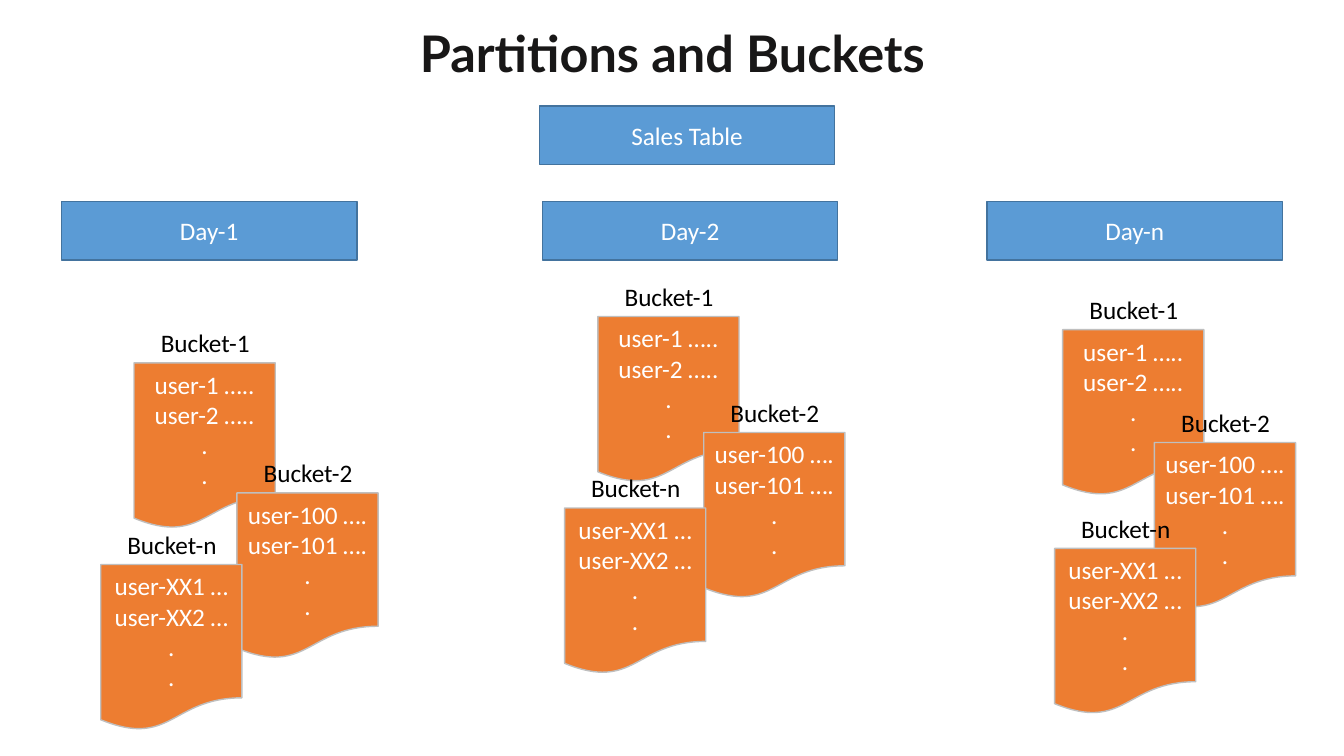
from dataclasses import dataclass

from pptx import Presentation
from pptx.dml.color import RGBColor
from pptx.enum.shapes import MSO_SHAPE
from pptx.enum.text import MSO_ANCHOR, MSO_AUTO_SIZE, PP_ALIGN
from pptx.shapes.autoshape import Shape
from pptx.slide import Slide
from pptx.text.text import TextFrame
from pptx.util import Inches, Pt

COLORS = {
    "title": "181717",
    "box": "5B9BD5",
    "box_line": "43739E",
    "bucket": "ED7D31",
    "bucket_line": "BFBFBF",
    "white": "FFFFFF",
    "black": "000000",
}
BOX_W, BOX_H = 2.93, 0.58
BUCKET_W, BUCKET_H = 1.4, 1.65
LABEL_W, LABEL_H = 1.51, 0.4
LABEL_DX = 0.05


@dataclass(frozen=True)
class Bucket:
    name: str
    users: tuple[str, str]


@dataclass(frozen=True)
class Partition:
    name: str
    left: float
    bucket_spots: tuple[tuple[float, float], ...]


BUCKETS = (
    Bucket("Bucket-1", ("user-1 …..", "user-2 …..")),
    Bucket("Bucket-2", ("user-100 ….", "user-101 ….")),
    Bucket("Bucket-n", ("user-XX1 …", "user-XX2 …")),
)
PARTITIONS = (
    Partition("Day-1", 0.61, ((1.33, 3.6), (2.35, 4.89), (1, 5.6))),
    Partition("Day-2", 5.38, ((5.93, 3.14), (6.98, 4.29), (5.6, 5.04))),
    Partition("Day-n", 9.79, ((10.54, 3.27), (11.45, 4.39), (10.46, 5.44))),
)


def rgb(name: str) -> RGBColor:
    return RGBColor.from_string(COLORS[name])


def write(tf: TextFrame, lines: tuple[str, ...], color: str,
          anchor: MSO_ANCHOR, font: str = "Calibri", size: int = 18) -> None:
    tf.word_wrap = True
    tf.vertical_anchor = anchor
    tf.text = "\n".join(lines)
    for p in tf.paragraphs:
        p.alignment = PP_ALIGN.CENTER
        p.font.name = font
        p.font.size = Pt(size)
        p.font.color.rgb = rgb(color)


def paint(sp: Shape, fill: str) -> None:
    sp.shadow.inherit = False
    sp.fill.solid()
    sp.fill.fore_color.rgb = rgb(fill)
    sp.line.color.rgb = rgb(f"{fill}_line")
    sp.line.width = Pt(1)


def add_title(slide: Slide, text: str) -> None:
    tf = slide.shapes.add_textbox(
        Inches(3.55), Inches(0.3), Inches(6.24), Inches(0.58)).text_frame
    write(tf, (text,), "title", MSO_ANCHOR.BOTTOM, "Lato", 36)
    p = tf.paragraphs[0]
    p.line_spacing = 0.9
    p.font.bold = True


def add_box(slide: Slide, text: str, left: float, top: float) -> None:
    sp = slide.shapes.add_shape(
        MSO_SHAPE.RECTANGLE, Inches(left), Inches(top), Inches(BOX_W), Inches(BOX_H))
    paint(sp, "box")
    write(sp.text_frame, (text,), "white", MSO_ANCHOR.MIDDLE)


def add_bucket(slide: Slide, bucket: Bucket, left: float, top: float) -> None:
    group = slide.shapes.add_group_shape()
    sp = group.shapes.add_shape(
        MSO_SHAPE.FLOWCHART_DOCUMENT,
        Inches(left), Inches(top), Inches(BUCKET_W), Inches(BUCKET_H))
    paint(sp, "bucket")
    write(sp.text_frame, (*bucket.users, ".", "."), "white", MSO_ANCHOR.MIDDLE)
    label = group.shapes.add_textbox(
        Inches(left - LABEL_DX), Inches(top - LABEL_H), Inches(LABEL_W), Inches(LABEL_H))
    write(label.text_frame, (bucket.name,), "black", MSO_ANCHOR.TOP)
    label.text_frame.auto_size = MSO_AUTO_SIZE.SHAPE_TO_FIT_TEXT


def main() -> None:
    prs = Presentation()
    prs.slide_width, prs.slide_height = Inches(13.33), Inches(7.5)
    slide = prs.slides.add_slide(prs.slide_layouts[6])
    add_title(slide, "Partitions and Buckets")
    add_box(slide, "Sales Table", 5.35, 1.05)
    for partition in PARTITIONS:
        add_box(slide, partition.name, partition.left, 2)
    for partition in PARTITIONS:
        for bucket, (left, top) in zip(BUCKETS, partition.bucket_spots):
            add_bucket(slide, bucket, left, top)
    prs.save("out.pptx")


if __name__ == "__main__":
    main()
